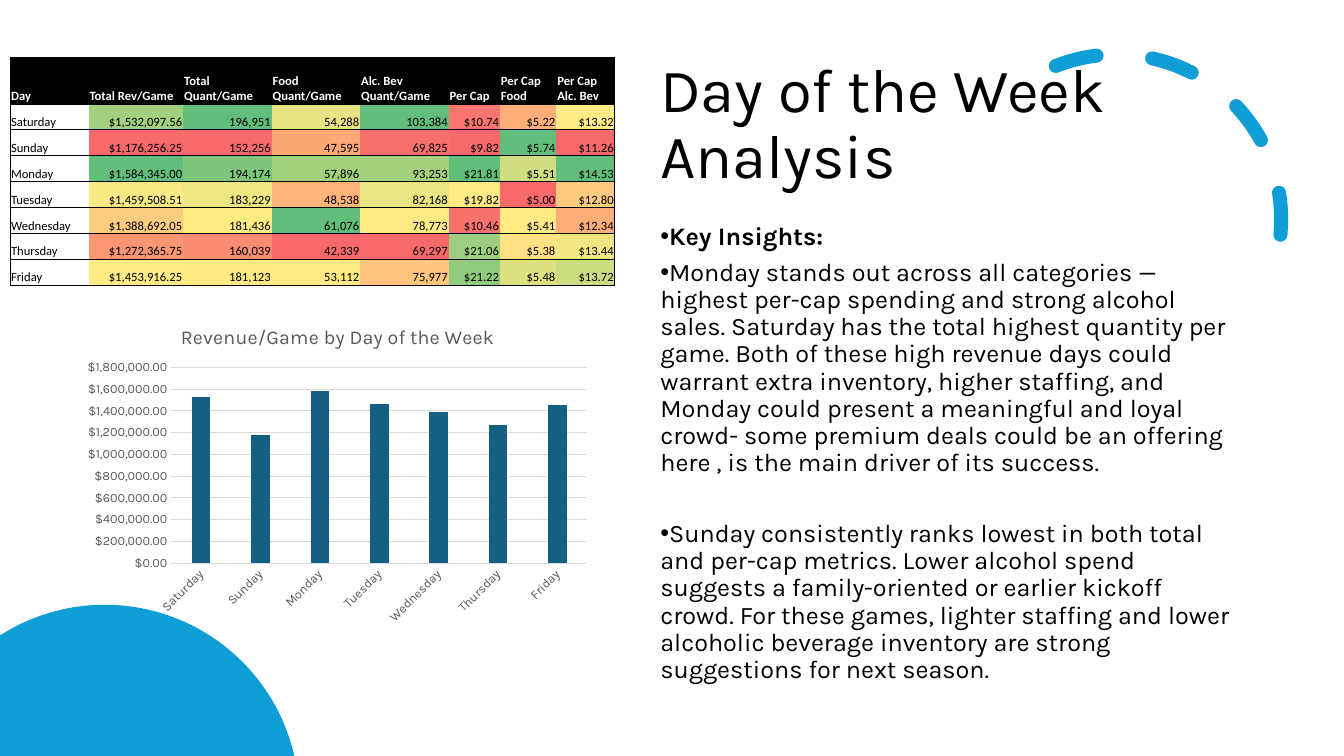
from dataclasses import dataclass
from math import acos, cos, sin

from lxml import etree
from pptx import Presentation
from pptx.chart.data import CategoryChartData
from pptx.dml.color import RGBColor
from pptx.enum.chart import XL_CHART_TYPE, XL_TICK_MARK
from pptx.enum.dml import MSO_LINE
from pptx.enum.shapes import MSO_SHAPE
from pptx.enum.text import MSO_ANCHOR, MSO_AUTO_SIZE, PP_ALIGN
from pptx.oxml import parse_xml
from pptx.oxml.ns import nsdecls, qn
from pptx.util import Emu, Inches, Pt

COLUMN = XL_CHART_TYPE.COLUMN_CLUSTERED
NO_TICK = XL_TICK_MARK.NONE
ARC, DASH = MSO_SHAPE.ARC, MSO_LINE.DASH
TOP, MIDDLE, BOTTOM = MSO_ANCHOR.TOP, MSO_ANCHOR.MIDDLE, MSO_ANCHOR.BOTTOM
LEFT, RIGHT = PP_ALIGN.LEFT, PP_ALIGN.RIGHT
FIXED = MSO_AUTO_SIZE.NONE
PLAIN_TABLE = "{2D5ABB26-0587-4C30-8999-92F81FD0307C}"


@dataclass(frozen=True)
class Theme:
    """Colours, fonts and type sizes of the slide."""
    accent: str = "0F9ED5"
    bar: str = "156082"
    ink: str = "000000"
    paper: str = "FFFFFF"
    label: str = "595959"
    grid: str = "D9D9D9"
    low: str = "F8696B"
    mid: str = "FFEB84"
    high: str = "63BE7B"
    font: str = "Karla"
    table_font: str = "Calibri"
    title: int = 44
    body: int = 18
    chart_title: int = 14
    axis: int = 9
    cell: int = 9


THEME = Theme()
TITLE = "Day of the Week Analysis"
INSIGHTS = [
    "Key Insights:",
    "Monday stands out across all categories — highest per-cap spending and strong "
    "alcohol sales. Saturday has the total highest quantity per game. Both of these "
    "high revenue days could warrant extra inventory, higher staffing, and Monday "
    "could present a meaningful and loyal crowd- some premium deals could be an "
    "offering here , is the main driver of its success.",
    "Sunday consistently ranks lowest in both total and per-cap metrics. Lower "
    "alcohol spend suggests a family-oriented or earlier kickoff crowd. For these "
    "games, lighter staffing and lower alcoholic beverage inventory are strong "
    "suggestions for next season.",
]
INSIGHT_GAPS = [0, 0, 25]
HEADERS = ["Day", "Total Rev/Game", "Total Quant/Game", "Food Quant/Game",
           "Alc. Bev Quant/Game", "Per Cap", "Per Cap Food", "Per Cap Alc. Bev"]
COL_WIDTHS = [0.78, 0.94, 0.88, 0.88, 0.88, 0.51, 0.56, 0.58]
FORMATS = ["${:,.2f}"] + ["{:,}"] * 3 + ["${:.2f}"] * 3
DAYS = {
    "Saturday": [1532097.56, 196951, 54288, 103384, 10.74, 5.22, 13.32],
    "Sunday": [1176256.25, 152256, 47595, 69825, 9.82, 5.74, 11.26],
    "Monday": [1584345.00, 194174, 57896, 93253, 21.81, 5.51, 14.53],
    "Tuesday": [1459508.51, 183229, 48538, 82168, 19.82, 5.00, 12.80],
    "Wednesday": [1388692.05, 181436, 61076, 78773, 10.46, 5.41, 12.34],
    "Thursday": [1272365.75, 160039, 42339, 69297, 21.06, 5.38, 13.44],
    "Friday": [1453916.25, 181123, 53112, 75977, 21.22, 5.48, 13.72],
}


def rgb(color):
    """Turn a hex string into a colour."""
    return RGBColor.from_string(color)


def style_font(font, size, color, name=THEME.font, bold=False):
    """Set the face, size and colour of a font."""
    font.name, font.size, font.bold = name, Pt(size), bold
    font.color.rgb = rgb(color)


def heat_color(value, column):
    """Blend low, middle and high colours around the column's median."""
    ranked = sorted(column)
    median = ranked[len(ranked) // 2]
    end, color = (ranked[0], THEME.low) if value < median else (ranked[-1], THEME.high)
    share = (value - median) / (end - median)
    return RGBColor(*(round(a + (b - a) * share)
                      for a, b in zip(rgb(THEME.mid), rgb(color))))


def place(sp, box):
    """Move a shape into a box."""
    sp.left, sp.top, sp.width, sp.height = box


def add_dashed_arc(slide, box):
    """Draw the dashed arc behind the text."""
    sp = slide.shapes.add_shape(ARC, *box)
    sp.adjustments[0], sp.adjustments[1] = 144.42, 0
    sp.rotation = 66.1
    sp.shadow.inherit = False
    sp.fill.background()
    sp.line.color.rgb = rgb(THEME.accent)
    sp.line.width, sp.line.dash_style = Pt(10), DASH
    sppr = sp.element.spPr
    sppr.find(qn("a:xfrm")).set("flipH", "1")
    sppr.find(qn("a:ln")).set("cap", "rnd")
    slide.shapes.element.insert(2, sp.element)


def add_hill(slide, box, steps=60):
    """Draw the part of a disc that rises from the lower left corner."""
    x, y, w, h = box
    cx = 0.356 * w
    radius = ((w - cx) ** 2 + h ** 2) / (2 * h)
    start, end = acos(-cx / radius), acos((w - cx) / radius)
    angles = [start + (end - start) * i / steps for i in range(steps + 1)]
    rim = [(round(x + cx + radius * cos(a)), round(y + radius - radius * sin(a)))
           for a in angles]
    builder = slide.shapes.build_freeform(x, y + h)
    builder.add_line_segments(rim + [(x + w, y + h)], close=True)
    sp = builder.convert_to_shape()
    sp.shadow.inherit = False
    sp.fill.solid()
    sp.fill.fore_color.rgb = rgb(THEME.accent)
    sp.line.fill.background()


def fill_title(slide, box):
    """Write the title."""
    sp = slide.shapes.title
    place(sp, box)
    tf = sp.text_frame
    tf.text = TITLE
    tf.auto_size, tf.word_wrap, tf.vertical_anchor = FIXED, True, MIDDLE
    p = tf.paragraphs[0]
    p.alignment, p.line_spacing = LEFT, 0.9
    style_font(p.runs[0].font, THEME.title, THEME.ink)


def fill_insights(slide, box):
    """Write the bulleted insights."""
    sp = slide.placeholders[1]
    place(sp, box)
    tf = sp.text_frame
    tf.text = "\n".join(INSIGHTS)
    tf.auto_size, tf.word_wrap, tf.vertical_anchor = FIXED, True, TOP
    for i, (p, gap) in enumerate(zip(tf.paragraphs, INSIGHT_GAPS)):
        ppr = p._p.get_or_add_pPr()
        ppr.set("marL", "0")
        ppr.set("indent", str(-Inches(0.25)))
        etree.SubElement(ppr, qn("a:buFont")).set("typeface", "Arial")
        etree.SubElement(ppr, qn("a:buChar")).set("char", "•")
        p.alignment, p.line_spacing = LEFT, 0.9
        p.space_before, p.space_after = Pt(gap), Pt(6)
        style_font(p.runs[0].font, THEME.body, THEME.ink, bold=i == 0)


def style_cell(cell, text, color, fill, align, sides, bold=False):
    """Write one table cell with its fill and borders."""
    cell.text = text
    cell.vertical_anchor = BOTTOM
    cell.margin_left = cell.margin_right = cell.margin_top = Inches(0.01)
    cell.margin_bottom = 0
    p = cell.text_frame.paragraphs[0]
    p.alignment = align
    style_font(p.runs[0].font, THEME.cell, color, THEME.table_font, bold)
    if fill is None:
        cell.fill.background()
    else:
        cell.fill.solid()
        cell.fill.fore_color.rgb = fill
    tcpr = cell._tc.get_or_add_tcPr()
    for i, side in enumerate(sides):
        tcpr.insert(i, parse_xml(
            f'<a:ln{side} {nsdecls("a")} w="{Pt(0.5)}"><a:solidFill>'
            f'<a:srgbClr val="{THEME.ink}"/></a:solidFill></a:ln{side}>'))


def add_heat_table(slide, box):
    """Add the table of days, shaded column by column."""
    frame = slide.shapes.add_table(len(DAYS) + 1, len(HEADERS), *box)
    table = frame.table
    table.first_row = table.horz_banding = False
    table._tbl.tblPr.find(qn("a:tableStyleId")).text = PLAIN_TABLE
    for column, width in zip(table.columns, COL_WIDTHS):
        column.width = Emu(round(box[2] * width / sum(COL_WIDTHS)))
    head = Inches(0.46)
    for i, row in enumerate(table.rows):
        row.height = head if i == 0 else Emu((box[3] - head) // len(DAYS))
    last = len(HEADERS) - 1
    edges = [("L" if c == 0 else "R" if c == last else "") + "TB" for c in range(last + 1)]
    columns = list(zip(*DAYS.values()))
    for c, text in enumerate(HEADERS):
        style_cell(table.cell(0, c), text, THEME.paper, rgb(THEME.ink), LEFT, edges[c], True)
    for r, (day, values) in enumerate(DAYS.items(), 1):
        style_cell(table.cell(r, 0), day, THEME.ink, None, LEFT, edges[0])
        for c, value in enumerate(values, 1):
            style_cell(table.cell(r, c), FORMATS[c - 1].format(value), THEME.ink,
                       heat_color(value, columns[c - 1]), RIGHT, edges[c])


def add_revenue_chart(slide, box):
    """Add the column chart of revenue per game."""
    data = CategoryChartData()
    data.categories = list(DAYS)
    data.add_series("Series 1", [round(values[0], -4) for values in DAYS.values()])
    chart = slide.shapes.add_chart(COLUMN, *box, data).chart
    style_font(chart.font, 10, THEME.ink)
    chart.has_legend = False
    tf = chart.chart_title.text_frame
    tf.text = "Revenue/Game by Day of the Week"
    style_font(tf.paragraphs[0].runs[0].font, THEME.chart_title, THEME.label)
    plot = chart.plots[0]
    plot.gap_width, plot.overlap, plot.vary_by_categories = 219, -27, False
    fill = plot.series[0].format.fill
    fill.solid()
    fill.fore_color.rgb = rgb(THEME.bar)
    days, money = chart.category_axis, chart.value_axis
    for axis in (days, money):
        axis.major_tick_mark = axis.minor_tick_mark = NO_TICK
        style_font(axis.tick_labels.font, THEME.axis, THEME.label)
    days._element.find(qn("c:txPr")).find(qn("a:bodyPr")).set("rot", "-2700000")
    money.minimum_scale, money.maximum_scale, money.major_unit = 0, 1800000, 200000
    money.tick_labels.number_format = '"$"#,##0.00'
    money.tick_labels.number_format_is_linked = False
    money.format.line.fill.background()
    for line in (days.format.line, money.major_gridlines.format.line):
        line.color.rgb, line.width = rgb(THEME.grid), Pt(0.75)
    area = chart._chartSpace.chart.plotArea
    for old in area.findall(qn("c:layout")):
        area.remove(old)
    spots = {"x": 0.18, "y": 0.18, "w": 0.8, "h": 0.61}
    parts = "".join(f'<c:{k}Mode val="edge"/>' for k in "xy")
    parts += "".join(f'<c:{k} val="{v}"/>' for k, v in spots.items())
    area.insert(0, parse_xml(
        f'<c:layout {nsdecls("c")}><c:manualLayout><c:layoutTarget val="inner"/>'
        f'{parts}</c:manualLayout></c:layout>'))


def main():
    """Build the slide and save it."""
    prs = Presentation()
    prs.slide_width, prs.slide_height = Inches(13.33), Inches(7.5)

    def share(x, y, w, h):
        """Turn percentages of the slide into a box."""
        return [Emu(round(v * side / 100)) for v, side in
                zip((x, y, w, h), (prs.slide_width, prs.slide_height) * 2)]

    slide = prs.slides.add_slide(prs.slide_layouts[1])
    add_dashed_arc(slide, share(70.8, 7.2, 24.53, 43.6))
    fill_title(slide, share(48.38, 6.93, 44.78, 19.33))
    add_hill(slide, share(0, 80, 21.9, 20))
    fill_insights(slide, share(48.38, 28.93, 44.78, 61.07))
    add_heat_table(slide, share(0.75, 7.6, 45, 30.13))
    add_revenue_chart(slide, share(5.78, 40.93, 38.7, 42.53))
    prs.save("out.pptx")


if __name__ == "__main__":
    main()
